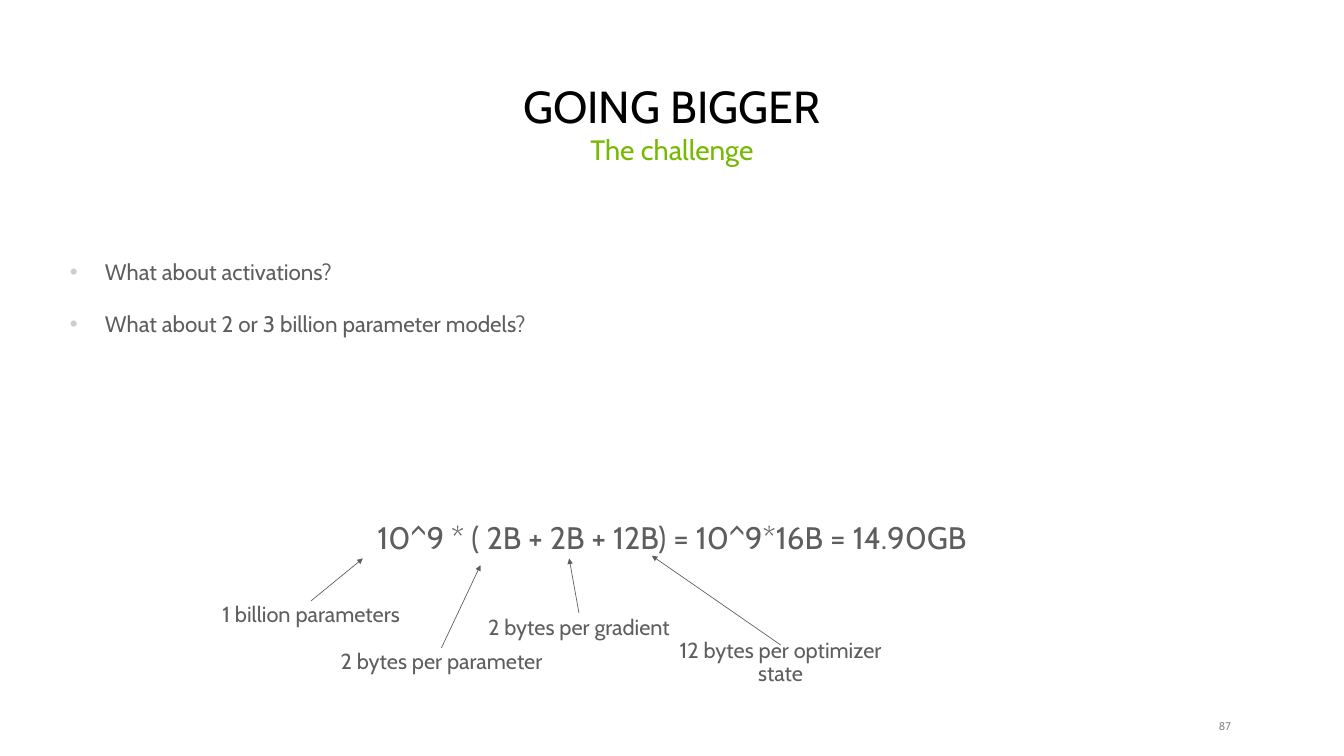
from lxml.etree import SubElement
from pptx import Presentation
from pptx.dml.color import RGBColor
from pptx.enum.shapes import MSO_CONNECTOR
from pptx.enum.text import MSO_ANCHOR, MSO_AUTO_SIZE, PP_ALIGN
from pptx.oxml.ns import qn
from pptx.util import Inches, Pt

FONT = "Cabin"
BLACK = RGBColor(0x00, 0x00, 0x00)
GREEN = RGBColor(0x76, 0xB9, 0x00)
GRAY = RGBColor(0x5E, 0x5E, 0x5E)
PAGE_GRAY = RGBColor(0x8C, 0x8C, 0x8C)
BULLET_COLOR = "CDCDCD"

presentation = Presentation()
presentation.slide_width = Inches(20)
presentation.slide_height = Inches(11.25)
COLUMN = presentation.slide_width / 100
ROW = presentation.slide_height / 100
slide = presentation.slides.add_slide(presentation.slide_layouts[3])
title, body, subtitle = slide.placeholders[0], slide.placeholders[1], slide.placeholders[2]


def place(shape, left, top, width, height, anchor=MSO_ANCHOR.TOP):
    """Position a text shape on the 100 x 100 grid and fix its frame."""
    shape.left, shape.width = int(left * COLUMN), int(width * COLUMN)
    shape.top, shape.height = int(top * ROW), int(height * ROW)
    shape.text_frame.word_wrap = True
    shape.text_frame.auto_size = MSO_AUTO_SIZE.NONE
    shape.text_frame.vertical_anchor = anchor


def write(paragraph, text, size=24, color=GRAY, align=PP_ALIGN.CENTER,
          before=0, after=0, bullet=False):
    properties = paragraph._p.get_or_add_pPr()
    indent = Inches(0.52) if bullet else 0
    properties.set("marL", str(indent))
    properties.set("indent", str(-indent))
    if bullet:
        bullet_color = SubElement(properties, qn("a:buClr"))
        SubElement(bullet_color, qn("a:srgbClr"), val=BULLET_COLOR)
        SubElement(properties, qn("a:buChar"), char="•")
    else:
        SubElement(properties, qn("a:buNone"))
    paragraph.alignment = align
    paragraph.line_spacing = 0.9
    paragraph.space_before, paragraph.space_after = Pt(before), Pt(after)
    run = paragraph.add_run()
    run.text = text
    run.font.name, run.font.size = FONT, Pt(size)
    run.font.color.rgb = color


# Headings
place(title, 4.55, 8.44, 90.9, 9.6, MSO_ANCHOR.BOTTOM)
write(title.text_frame.paragraphs[0], "GOING BIGGER", size=48, color=BLACK)
place(subtitle, 4.55, 17.6, 90.9, 8.53)
write(subtitle.text_frame.paragraphs[0], "The challenge", size=30, color=GREEN)

# Questions, with the memory formula well below them
place(body, 4.7, 34.04, 90.65, 60.27)
frame = body.text_frame
write(frame.paragraphs[0], "What about activations?",
      align=PP_ALIGN.LEFT, after=15, bullet=True)
write(frame.add_paragraph(), "What about 2 or 3 billion parameter models?",
      align=PP_ALIGN.LEFT, before=15, after=15, bullet=True)
write(frame.add_paragraph(), "10^9 * ( 2B + 2B + 12B) = 10^9*16B = 14.90GB",
      size=33.3, before=184)

# Labels: text, box on the grid, arrow start (None joins the box top), arrow tip
labels = [
    ("1 billion parameters", (15.25, 79.47, 15.8, 4), None, (27, 73.87)),
    ("2 bytes per parameter", (24.15, 85.69, 17.4, 4), None, (35.75, 74.76)),
    ("2 bytes per gradient", (34.05, 81.07, 18.05, 4), None, (42.35, 73.87)),
    ("12 bytes per optimizer state", (49.05, 84.09, 18.05, 7.2), (58.1, 85.33), (48.5, 73.51)),
]
for text, box, start, tip in labels:
    label = slide.shapes.add_textbox(0, 0, 0, 0)
    place(label, *box, anchor=MSO_ANCHOR.MIDDLE)
    write(label.text_frame.paragraphs[0], text, size=23.3)

    start_column, start_row = start or box[:2]
    arrow = slide.shapes.add_connector(
        MSO_CONNECTOR.STRAIGHT, int(start_column * COLUMN), int(start_row * ROW),
        int(tip[0] * COLUMN), int(tip[1] * ROW))
    if start is None:
        arrow.begin_connect(label, 0)
    arrow.line.color.rgb = GRAY
    arrow.line.width = Pt(0.75)
    arrow_properties = arrow._element.spPr
    SubElement(arrow_properties.find(qn("a:ln")), qn("a:tailEnd"), type="triangle")
    SubElement(arrow_properties, qn("a:effectLst"))

# Page number
page_number = slide.shapes.add_textbox(0, 0, 0, 0)
place(page_number, 88.85, 95.2, 2.75, 1.78, MSO_ANCHOR.MIDDLE)
frame = page_number.text_frame
frame.margin_left = frame.margin_right = frame.margin_top = frame.margin_bottom = 0
write(frame.paragraphs[0], "87", size=12, color=PAGE_GRAY, align=PP_ALIGN.RIGHT)

presentation.save("out.pptx")
